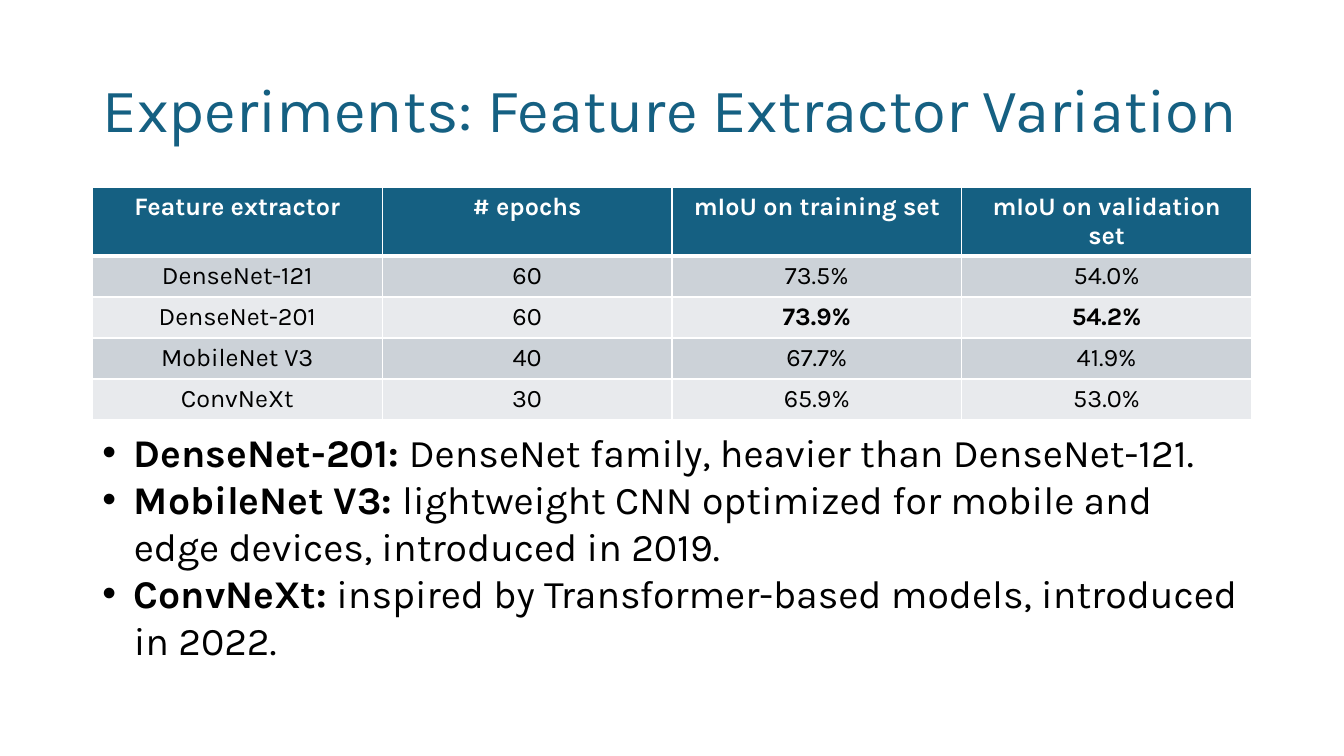
from dataclasses import dataclass

import lxml.etree
import pptx
import pptx.dml.color
import pptx.enum.text
import pptx.oxml.ns
import pptx.util

PX = 9525
FONT = "Karla"
COLORS = {
    "accent": "156082",
    "white": "FFFFFF",
    "black": "000000",
    "odd": "CCD2D8",
    "even": "E8EAED",
}
BULLET_INDENT = 30


@dataclass(frozen=True)
class Box:
    left: int
    top: int
    width: int
    height: int

    def emu(self) -> tuple[int, ...]:
        return tuple(side * PX for side in (self.left, self.top, self.width, self.height))


@dataclass(frozen=True)
class Result:
    extractor: str
    epochs: str
    training: str
    validation: str
    best: bool = False

    def values(self) -> tuple[str, ...]:
        return self.extractor, self.epochs, self.training, self.validation


@dataclass(frozen=True)
class Remark:
    extractor: str
    description: str


TITLE_BOX = Box(88, 38, 1104, 139)
RESULTS_BOX = Box(88, 178, 1104, 195)
REMARKS_BOX = Box(88, 403, 1104, 236)

HEADINGS = ("Feature extractor", "# epochs", "mIoU on training set", "mIoU on validation set")
RESULTS = (
    Result("DenseNet-121", "60", "73.5%", "54.0%"),
    Result("DenseNet-201", "60", "73.9%", "54.2%", best=True),
    Result("MobileNet V3", "40", "67.7%", "41.9%"),
    Result("ConvNeXt", "30", "65.9%", "53.0%"),
)
REMARKS = (
    Remark("DenseNet-201: ", "DenseNet family, heavier than DenseNet-121."),
    Remark(
        "MobileNet V3: ",
        "lightweight CNN optimized for mobile and edge devices, introduced in 2019.",
    ),
    Remark("ConvNeXt:", " inspired by Transformer-based models, introduced in 2022."),
)


def rgb(color: str) -> pptx.dml.color.RGBColor:
    return pptx.dml.color.RGBColor.from_string(COLORS[color])


def add_run(paragraph, text: str, size: int, color: str, bold: bool = False) -> None:
    run = paragraph.add_run()
    run.text = text
    run.font.name = FONT
    run.font.size = pptx.util.Pt(size)
    run.font.bold = bold
    run.font.color.rgb = rgb(color)


def set_borders(cell, top: int, bottom: int) -> None:
    qn = pptx.oxml.ns.qn
    properties = cell._tc.get_or_add_tcPr()
    widths = {"a:lnL": 1, "a:lnR": 1, "a:lnT": top, "a:lnB": bottom}
    for position, (side, width) in enumerate(widths.items()):
        border = lxml.etree.Element(qn(side), w=str(pptx.util.Pt(width)))
        fill = lxml.etree.SubElement(border, qn("a:solidFill"))
        lxml.etree.SubElement(fill, qn("a:srgbClr"), val=COLORS["white"])
        properties.insert(position, border)


def fill_cell(cell, text: str, fill: str, color: str, bold: bool) -> None:
    cell.fill.solid()
    cell.fill.fore_color.rgb = rgb(fill)
    paragraph = cell.text_frame.paragraphs[0]
    paragraph.alignment = pptx.enum.text.PP_ALIGN.CENTER
    add_run(paragraph, text, 18, color, bold)


def add_title(slide) -> None:
    title = slide.shapes.title
    title.left, title.top, title.width, title.height = TITLE_BOX.emu()
    frame = title.text_frame
    frame.auto_size = pptx.enum.text.MSO_AUTO_SIZE.NONE
    frame.vertical_anchor = pptx.enum.text.MSO_ANCHOR.MIDDLE
    heading = frame.paragraphs[0]
    heading.alignment = pptx.enum.text.PP_ALIGN.LEFT
    heading.line_spacing = 0.9
    add_run(heading, "Experiments: Feature Extractor Variation", 44, "accent")


def add_results(slide) -> None:
    row_count = len(RESULTS) + 1
    results = slide.shapes.add_table(row_count, len(HEADINGS), *RESULTS_BOX.emu()).table
    for column, heading in enumerate(HEADINGS):
        cell = results.cell(0, column)
        fill_cell(cell, heading, "accent", "white", True)
        set_borders(cell, top=1, bottom=3)
    for row, result in enumerate(RESULTS, start=1):
        band = "odd" if row % 2 else "even"
        for column, value in enumerate(result.values()):
            cell = results.cell(row, column)
            fill_cell(cell, value, band, "black", result.best and column >= 2)
            set_borders(cell, top=3 if row == 1 else 1, bottom=1)


def add_bullet(paragraph) -> None:
    qn = pptx.oxml.ns.qn
    properties = paragraph._p.get_or_add_pPr()
    properties.set("marL", str(BULLET_INDENT * PX))
    properties.set("indent", str(-BULLET_INDENT * PX))
    lxml.etree.SubElement(properties, qn("a:buFont"), typeface="Arial")
    lxml.etree.SubElement(properties, qn("a:buChar"), char="•")


def add_remarks(slide) -> None:
    frame = slide.shapes.add_textbox(*REMARKS_BOX.emu()).text_frame
    frame.word_wrap = True
    frame.auto_size = pptx.enum.text.MSO_AUTO_SIZE.SHAPE_TO_FIT_TEXT
    for index, remark in enumerate(REMARKS):
        paragraph = frame.add_paragraph() if index else frame.paragraphs[0]
        add_bullet(paragraph)
        add_run(paragraph, remark.extractor, 28, "black", True)
        add_run(paragraph, remark.description, 28, "black")


def main() -> None:
    deck = pptx.Presentation()
    deck.slide_width, deck.slide_height = 1280 * PX, 720 * PX
    slide = deck.slides.add_slide(deck.slide_layouts.get_by_name("Title Only"))
    add_title(slide)
    add_results(slide)
    add_remarks(slide)
    deck.save("out.pptx")


if __name__ == "__main__":
    main()
